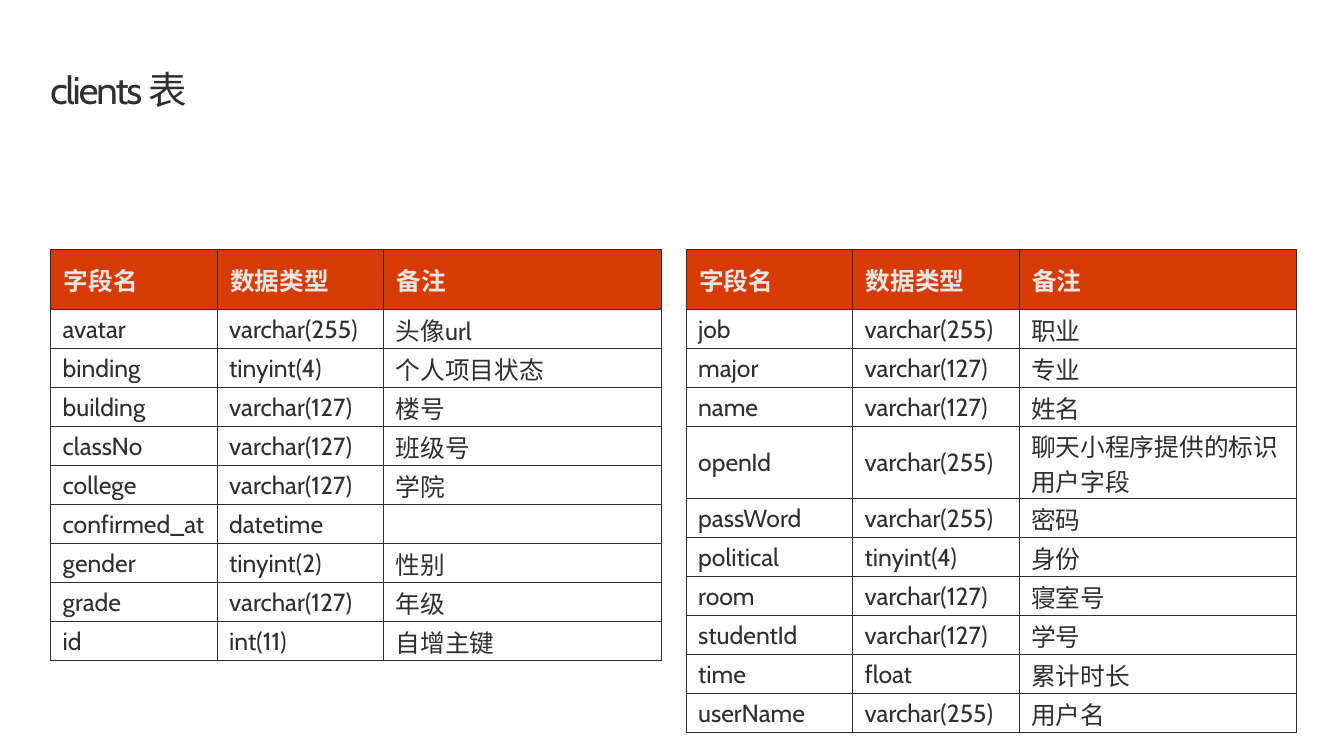
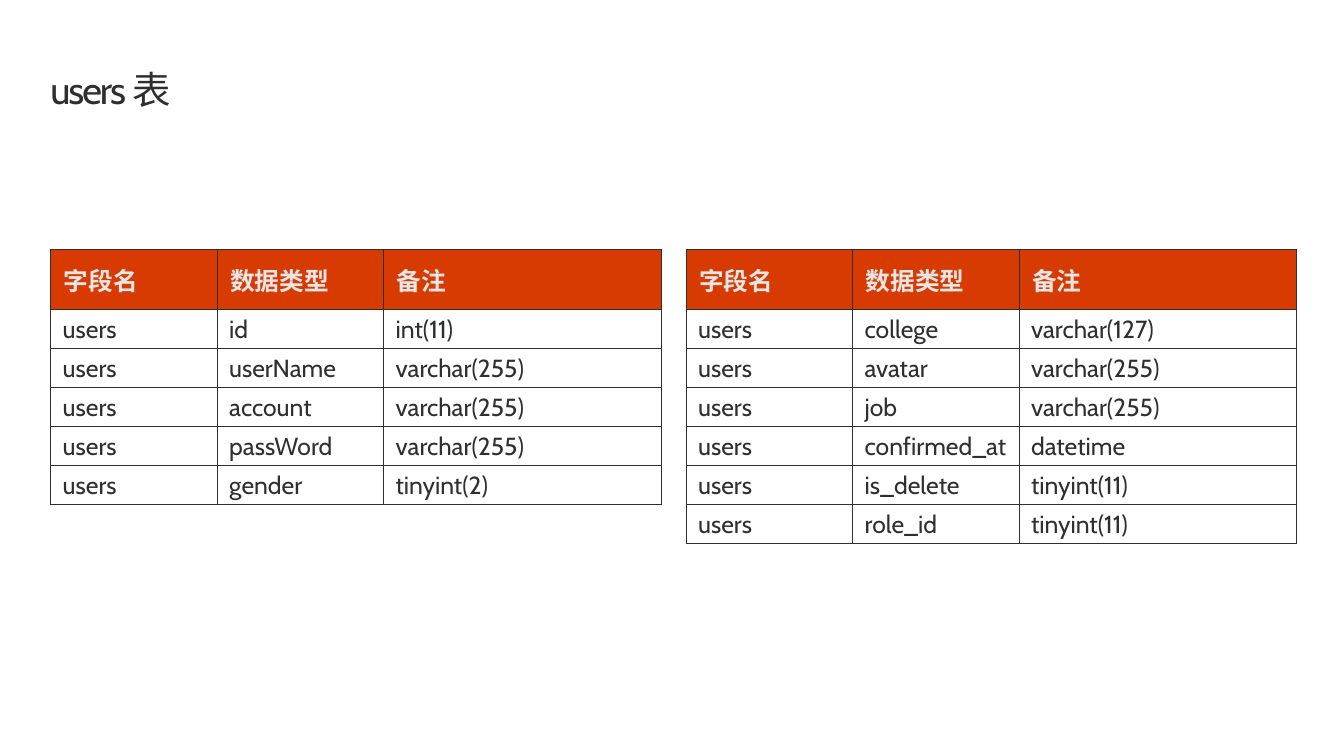
from dataclasses import dataclass
from math import ceil

from lxml.etree import SubElement
from pptx import Presentation
from pptx.dml.color import RGBColor
from pptx.enum.text import MSO_ANCHOR, MSO_AUTO_SIZE
from pptx.oxml.ns import qn
from pptx.util import Pt

PX = 4572  # EMU per px, 200 px to the inch


@dataclass(frozen=True)
class Theme:
    font: str = "Cabin"
    ink: str = "2F2F2F"
    accent: str = "D83B01"
    on_accent: str = "E6E6E6"
    title_size: int = 28
    title_leading: int = 32
    title_tracking: float = -1.5
    table_size: int = 18
    rule: float = 0.5


T = Theme()

SLIDE_W, SLIDE_H = 2720, 1530
MARGIN, CONTENT_W, GAP = 102, 2522, 50
TITLE_Y, TITLE_H = 138, 90
TABLE_Y, TABLE_W = 505, (CONTENT_W - GAP) // 2
KEY_COL_W, HEAD_H, ROW_H = 337, 121, 79
EXTRA_LINE_H, NOTE_CHARS = 67, 10  # wrapping of the Chinese notes
HEAD_INSETS, BODY_INSETS = (27, 12, 27, 12), (25, 2, 2, 0)

HEADER = ("字段名", "数据类型", "备注")
CLIENTS_LEFT = [
    ("avatar", "varchar(255)", "头像url"),
    ("binding", "tinyint(4)", "个人项目状态"),
    ("building", "varchar(127)", "楼号"),
    ("classNo", "varchar(127)", "班级号"),
    ("college", "varchar(127)", "学院"),
    ("confirmed_at", "datetime", ""),
    ("gender", "tinyint(2)", "性别"),
    ("grade", "varchar(127)", "年级"),
    ("id", "int(11)", "自增主键"),
]
CLIENTS_RIGHT = [
    ("job", "varchar(255)", "职业"),
    ("major", "varchar(127)", "专业"),
    ("name", "varchar(127)", "姓名"),
    ("openId", "varchar(255)", "聊天小程序提供的标识用户字段"),
    ("passWord", "varchar(255)", "密码"),
    ("political", "tinyint(4)", "身份"),
    ("room", "varchar(127)", "寝室号"),
    ("studentId", "varchar(127)", "学号"),
    ("time", "float", "累计时长"),
    ("userName", "varchar(255)", "用户名"),
]
USERS_LEFT = [("users", *field) for field in (
    ("id", "int(11)"),
    ("userName", "varchar(255)"),
    ("account", "varchar(255)"),
    ("passWord", "varchar(255)"),
    ("gender", "tinyint(2)"),
)]
USERS_RIGHT = [("users", *field) for field in (
    ("college", "varchar(127)"),
    ("avatar", "varchar(255)"),
    ("job", "varchar(255)"),
    ("confirmed_at", "datetime"),
    ("is_delete", "tinyint(11)"),
    ("role_id", "tinyint(11)"),
)]


def px(*lengths):
    return [n * PX for n in lengths]


def write(tf, text, *, size, color, bold=False, leading=None, tracking=None):
    tf.word_wrap = True
    p = tf.paragraphs[0]
    if leading:
        p.line_spacing = Pt(leading)
    if not text:
        p.font.size = Pt(size)
        return
    r = p.add_run()
    r.text = text
    r.font.name = T.font
    r.font.size = Pt(size)
    r.font.bold = bold
    r.font.color.rgb = RGBColor.from_string(color)
    if tracking:
        r.font._element.set("spc", str(int(tracking * 100)))


def set_insets(target, insets):
    (target.margin_left, target.margin_top,
     target.margin_right, target.margin_bottom) = px(*insets)


def add_title(s, text, x, y, w, h):
    tf = s.shapes.add_textbox(*px(x, y, w, h)).text_frame
    set_insets(tf, (0, 0, 0, 0))
    tf.auto_size = MSO_AUTO_SIZE.SHAPE_TO_FIT_TEXT
    write(tf, text, size=T.title_size, color=T.ink,
          leading=T.title_leading, tracking=T.title_tracking)


def rule_cell(cell):
    """Draw a thin rule on all four sides of the cell."""
    tc_pr = cell._tc.get_or_add_tcPr()
    for side in ("lnL", "lnR", "lnT", "lnB"):
        ln = SubElement(tc_pr, qn(f"a:{side}"), w=str(Pt(T.rule)))
        fill = SubElement(ln, qn("a:solidFill"))
        SubElement(fill, qn("a:srgbClr"), val=T.ink)


def format_cell(cell, text, head):
    rule_cell(cell)
    cell.vertical_anchor = MSO_ANCHOR.MIDDLE
    set_insets(cell, HEAD_INSETS if head else BODY_INSETS)
    if head:
        cell.fill.solid()
        cell.fill.fore_color.rgb = RGBColor.from_string(T.accent)
    else:
        cell.fill.background()
    write(cell.text_frame, text, size=T.table_size, bold=head,
          color=T.on_accent if head else T.ink)


def row_height(note):
    """Height of a body row, with room for every line its note wraps to."""
    lines = 1 if note.isascii() else ceil(len(note) / NOTE_CHARS)
    return ROW_H + (lines - 1) * EXTRA_LINE_H


def add_field_table(s, fields, x, y, w):
    rows = [HEADER, *fields]
    heights = [HEAD_H, *(row_height(note) for *_, note in fields)]
    box = px(x, y, w, sum(heights))
    table = s.shapes.add_table(len(rows), len(HEADER), *box).table
    table.horz_banding = False
    widths = px(KEY_COL_W, KEY_COL_W, w - 2 * KEY_COL_W)
    for column, width in zip(table.columns, widths):
        column.width = width
    for i, (row, height) in enumerate(zip(rows, px(*heights))):
        table.rows[i].height = height
        for j, text in enumerate(row):
            format_cell(table.cell(i, j), text, head=i == 0)


def add_schema_slide(prs, title, *tables):
    s = prs.slides.add_slide(prs.slide_layouts[6])
    add_title(s, title, MARGIN, TITLE_Y, CONTENT_W, TITLE_H)
    for i, fields in enumerate(tables):
        add_field_table(s, fields, MARGIN + i * (TABLE_W + GAP), TABLE_Y, TABLE_W)


def main():
    prs = Presentation()
    prs.slide_width, prs.slide_height = px(SLIDE_W, SLIDE_H)
    add_schema_slide(prs, "clients 表", CLIENTS_LEFT, CLIENTS_RIGHT)
    add_schema_slide(prs, "users 表", USERS_LEFT, USERS_RIGHT)
    prs.save("out.pptx")


if __name__ == "__main__":
    main()
